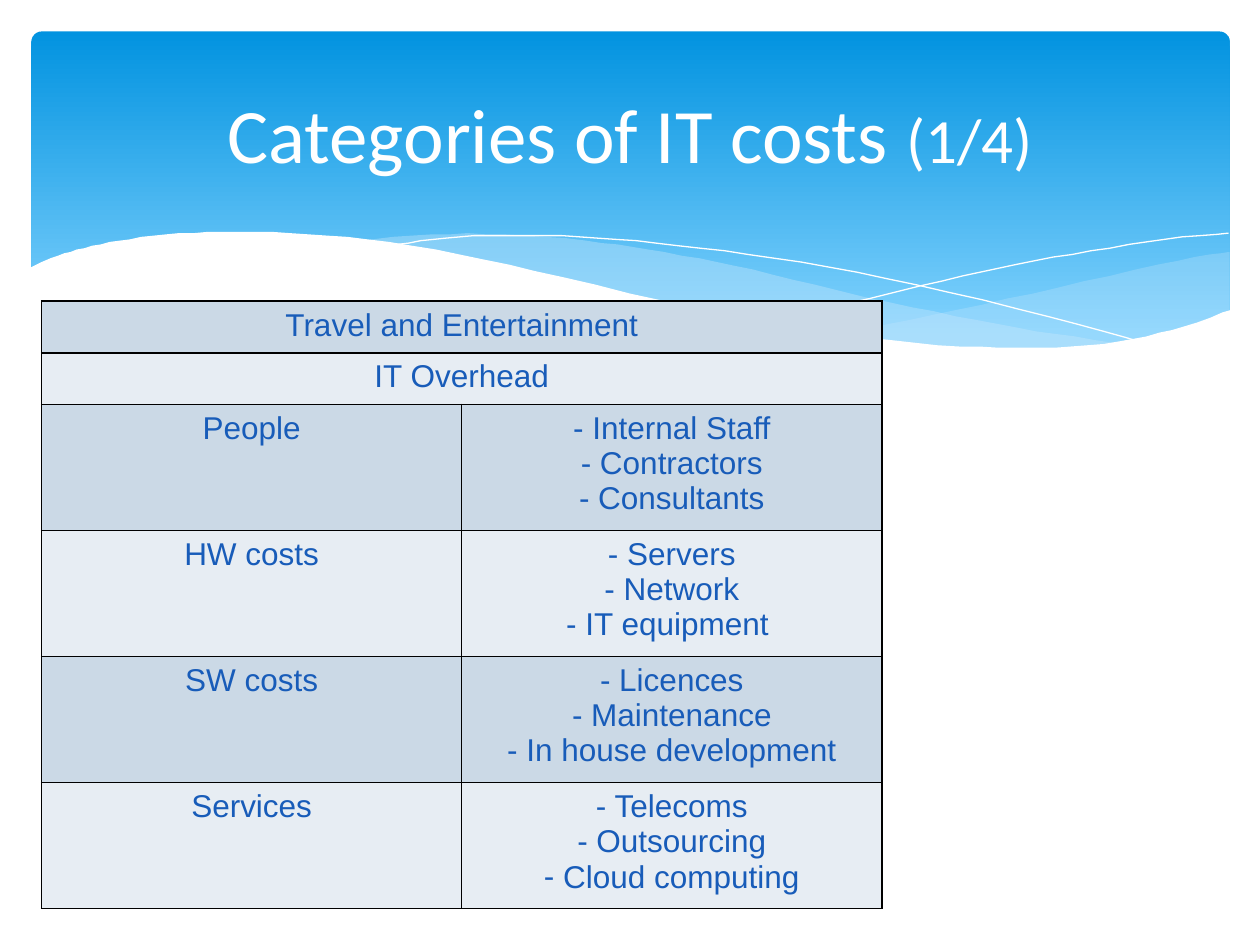
from lxml import etree
from pptx import Presentation
from pptx import util as u
from pptx.dml.color import RGBColor
from pptx.enum import shapes, text
from pptx.oxml import ns

PX = 9144
WHITE = RGBColor(0xFF, 0xFF, 0xFF)
SKY_TOP = RGBColor(0x02, 0x93, 0xE0)
SKY_BOTTOM = RGBColor(0x83, 0xD3, 0xFE)
WAVE_BLUE = RGBColor(0xC6, 0xE7, 0xFC)
TABLE_TEXT = RGBColor(0x18, 0x5C, 0xB9)
ROW_FILLS = (RGBColor(0xCB, 0xD9, 0xE6), RGBColor(0xE7, 0xED, 0xF3))
BORDER = RGBColor(0, 0, 0)

RIGHT_WAVE_TOP = [(975, 200), (935, 207), (861, 223), (779, 242), (706, 257), (661, 265)]
RIGHT_WAVE_BOTTOM = [(661, 265), (719, 272), (769, 277), (814, 278), (863, 275),
                     (905, 269), (942, 259), (976, 247)]
MIDDLE_WAVE_TOP = [(893, 273), (837, 265), (775, 254), (706, 240), (629, 222), (569, 208),
                   (514, 198), (465, 191), (399, 186), (344, 186), (286, 191)]
MIDDLE_WAVE_BOTTOM = [(286, 191), (342, 199), (404, 211), (449, 222), (530, 240), (601, 255),
                      (665, 266), (722, 274), (773, 277), (818, 278), (857, 277), (893, 273)]
FALLING_LINE = [(309, 195), (344, 190), (387, 187), (433, 187), (489, 190), (556, 197),
                (636, 208), (727, 226), (831, 251), (907, 272)]
RISING_LINE = [(613, 257), (672, 241), (748, 223), (806, 210), (866, 199), (924, 190), (975, 185)]
WHITE_WAVE_TOP = [(977, 246), (940, 259), (899, 269), (850, 275), (793, 276), (726, 272),
                  (648, 262), (555, 245), (447, 220), (365, 202), (292, 190), (230, 185),
                  (177, 184), (132, 186), (95, 191), (67, 197), (46, 203), (23, 213)]

COST_ROWS = [
    ("Travel and Entertainment", None),
    ("IT Overhead", None),
    ("People", ["Internal Staff", "Contractors", "Consultants"]),
    ("HW costs", ["Servers", "Network", "IT equipment "]),
    ("SW costs", ["Licences", "Maintenance", "In house development"]),
    ("Services", ["Telecoms", "Outsourcing", "Cloud computing"]),
]


def smooth(points, steps=4):
    """Return points of a Catmull-Rom curve through the given points."""
    padded = [points[0], *points, points[-1]]
    curve = [points[0]]
    for a, b, c, d in zip(padded, padded[1:], padded[2:], padded[3:]):
        for step in range(1, steps + 1):
            t = step / steps
            curve.append(tuple(
                (2 * q + (r - p) * t + (2 * p - 5 * q + 4 * r - s) * t ** 2
                 + (3 * q - p - 3 * r + s) * t ** 3) / 2
                for p, q, r, s in zip(a, b, c, d)))
    return curve


class SlideBuilder:
    """Hold the slide and its style, and add each kind of element."""

    def __init__(self, slide):
        self.slide = slide
        self.title_font = "Calibri"
        self.body_font = "Arial"
        self.body_size = 18

    def add_run(self, paragraph, words, font, size, color):
        run = paragraph.add_run()
        run.text = words
        run.font.name = font
        run.font.size = u.Pt(size)
        run.font.color.rgb = color

    def banner(self, left, top, width, height):
        shape = self.slide.shapes.add_shape(
            shapes.MSO_SHAPE.ROUNDED_RECTANGLE, *(n * PX for n in (left, top, width, height)))
        shape.shadow.inherit = False
        shape.adjustments[0] = 0.03
        shape.line.fill.background()
        shape.fill.gradient()
        shape.fill.gradient_angle = 270
        stops = zip(shape.fill.gradient_stops, (SKY_TOP, SKY_BOTTOM), (0, 0.9))
        for stop, color, position in stops:
            stop.color.rgb = color
            stop.position = position

    def outline(self, points, close):
        builder = self.slide.shapes.build_freeform(*points[0], scale=PX)
        builder.add_line_segments(points[1:], close=close)
        shape = builder.convert_to_shape()
        shape.shadow.inherit = False
        return shape

    def wave(self, points, color, opacity=100):
        shape = self.outline(points, True)
        shape.line.fill.background()
        shape.fill.solid()
        shape.fill.fore_color.rgb = color
        if opacity < 100:
            color_element = shape.fill._xPr.find(".//" + ns.qn("a:srgbClr"))
            etree.SubElement(color_element, ns.qn("a:alpha"), val=str(opacity * 1000))

    def curve(self, points):
        shape = self.outline(smooth(points), False)
        shape.fill.background()
        shape.line.color.rgb = WHITE
        shape.line.width = u.Pt(0)

    def title(self, left, top, width, height, runs):
        box = self.slide.shapes.add_textbox(*(n * PX for n in (left, top, width, height)))
        frame = box.text_frame
        frame.word_wrap = True
        frame.vertical_anchor = text.MSO_ANCHOR.MIDDLE
        paragraph = frame.paragraphs[0]
        paragraph.alignment = text.PP_ALIGN.CENTER
        for words, size in runs:
            self.add_run(paragraph, words, self.title_font, size, WHITE)

    def cell_style(self, cell, color):
        cell.fill.solid()
        cell.fill.fore_color.rgb = color
        properties = cell._tc.get_or_add_tcPr()
        for index, side in enumerate(("lnL", "lnR", "lnT", "lnB")):
            line = etree.Element(ns.qn("a:" + side), w=str(u.Pt(1)))
            fill = etree.SubElement(line, ns.qn("a:solidFill"))
            etree.SubElement(fill, ns.qn("a:srgbClr"), val=str(BORDER))
            properties.insert(index, line)

    def cell_text(self, cell, lines, bullet=False):
        frame = cell.text_frame
        for index, words in enumerate(lines):
            paragraph = frame.add_paragraph() if index else frame.paragraphs[0]
            paragraph.alignment = text.PP_ALIGN.CENTER
            if bullet:
                properties = paragraph._p.get_or_add_pPr()
                properties.set("marL", "0")
                properties.set("indent", "0")
                etree.SubElement(properties, ns.qn("a:buFont"), typeface=self.body_font)
                etree.SubElement(properties, ns.qn("a:buChar"), char="-")
                words = " " + words
            self.add_run(paragraph, words, self.body_font, self.body_size, TABLE_TEXT)

    def table(self, left, top, width, rows):
        heights = [100 if items else 41 for _, items in rows]
        frame = self.slide.shapes.add_table(
            len(rows), 2, left * PX, top * PX, width * PX, sum(heights) * PX)
        table = frame.table
        table.first_row = table.horz_banding = False
        for index, (label, items) in enumerate(rows):
            table.rows[index].height = heights[index] * PX
            label_cell, items_cell = table.cell(index, 0), table.cell(index, 1)
            for cell in (label_cell, items_cell):
                self.cell_style(cell, ROW_FILLS[index % 2])
            self.cell_text(label_cell, [label])
            if items:
                self.cell_text(items_cell, items, bullet=True)
            else:
                label_cell.merge(items_cell)


def main():
    presentation = Presentation()
    presentation.slide_width = 1000 * PX
    presentation.slide_height = 750 * PX
    builder = SlideBuilder(presentation.slides.add_slide(presentation.slide_layouts[6]))
    builder.banner(25, 25, 951, 270)
    builder.wave(smooth(RIGHT_WAVE_TOP) + smooth(RIGHT_WAVE_BOTTOM) + [(976, 200)], WAVE_BLUE, 29)
    builder.wave(smooth(MIDDLE_WAVE_TOP) + smooth(MIDDLE_WAVE_BOTTOM), WAVE_BLUE, 40)
    builder.curve(FALLING_LINE)
    builder.curve(RISING_LINE)
    builder.wave(smooth(WHITE_WAVE_TOP) + [(23, 329), (977, 329)], WHITE)
    builder.title(50, 37, 900, 137, [("Categories of IT costs ", 44), ("(1/4)", 36)])
    builder.table(33, 239, 667, COST_ROWS)
    presentation.save("out.pptx")


if __name__ == "__main__":
    main()
